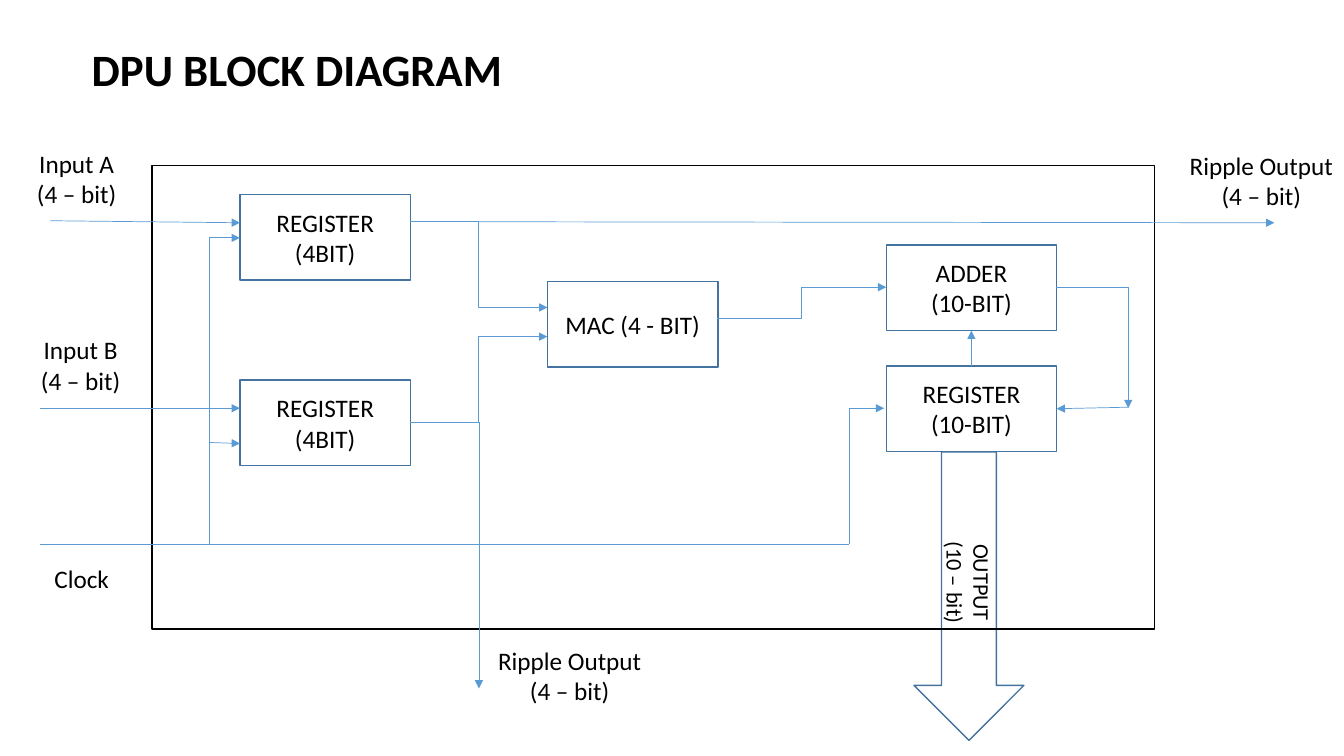
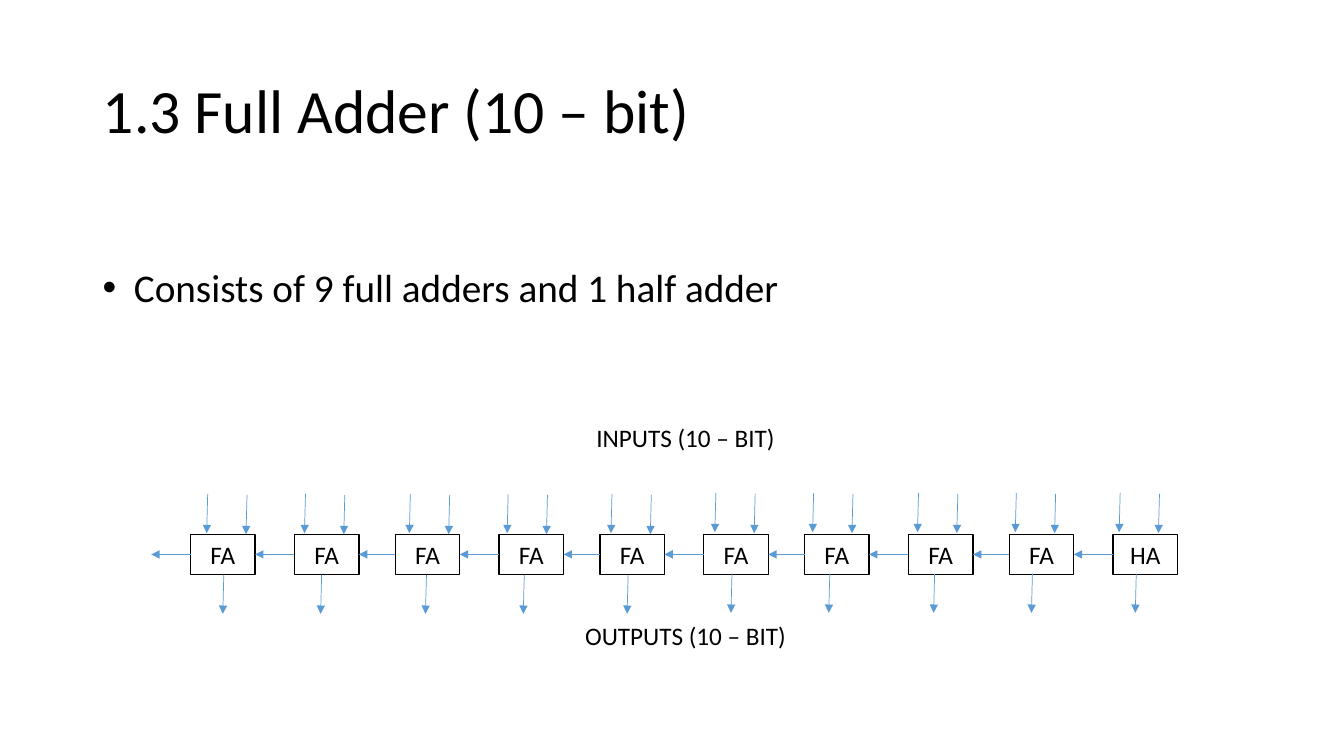
from dataclasses import dataclass
from typing import Any, Optional

import lxml.etree
import pptx
import pptx.dml.color
import pptx.enum.shapes
import pptx.enum.text
import pptx.oxml.ns
import pptx.util

Inches = pptx.util.Inches
SHAPE = pptx.enum.shapes.MSO_SHAPE
CONNECTOR = pptx.enum.shapes.MSO_CONNECTOR
ALIGN = pptx.enum.text.PP_ALIGN
ANCHOR = pptx.enum.text.MSO_ANCHOR
AUTO_SIZE = pptx.enum.text.MSO_AUTO_SIZE

FONT = "Calibri"
BLACK, WHITE = "000000", "FFFFFF"
BLOCK_BLUE, WIRE_BLUE = "43739E", "5B9BD5"
TITLE_ONLY = 5
TOP, LEFT, BOTTOM, RIGHT = range(4)

Point = tuple[float, float]


@dataclass(frozen=True)
class Block:
    text: str
    left: float
    top: float
    width: float = 1.69
    height: float = 0.85
    line: str = BLOCK_BLUE
    fill: Optional[str] = None
    size: float = 18
    preset: Any = SHAPE.RECTANGLE
    rotation: float = 0


@dataclass(frozen=True)
class Label:
    text: str
    left: float
    top: float
    width: float = 1.68
    height: float = 0.71


@dataclass(frozen=True)
class Wire:
    """A line; preset bentConnector2 has one corner, bentConnector3 has two."""
    start: Point
    end: Point
    arrow: Optional[str] = "tailEnd"
    preset: str = "line"


REGISTER_A = Block("REGISTER (4BIT)", 2.38, 1.93)
REGISTER_B = Block("REGISTER (4BIT)", 2.38, 3.77)
REGISTER_SUM = Block("REGISTER\n(10-BIT)", 8.79, 3.63)
MAC = Block("MAC (4 - BIT)", 5.43, 2.79)
ADDER = Block("ADDER\n(10-BIT)", 8.79, 2.43)
OUTPUT = Block("OUTPUT\n(10 – bit)", 8.18, 5.37, 2.86, 1.09, size=16,
               preset=SHAPE.RIGHT_ARROW, rotation=90)
DPU_FRAME = Block("", 1.51, 1.64, 9.94, 4.6, line=BLACK)

DPU_WIRES = [
    Wire((4.07, 2.2), (5.43, 3.05), preset="bentConnector3"),
    Wire((4.07, 4.19), (5.43, 3.34), preset="bentConnector3"),
    Wire((7.11, 3.16), (8.79, 2.85), preset="bentConnector3"),
    Wire((10.47, 2.85), (11.19, 4.05), preset="bentConnector2"),
    Wire((0.5, 2.19), (2.38, 2.21)),
    Wire((0.4, 4.05), (2.38, 4.05)),
    Wire((4.75, 2.2), (12.64, 2.21)),
    Wire((4.75, 4.19), (4.75, 6.83)),
    Wire((2.38, 2.36), (2.08, 5.4), "headEnd", "bentConnector2"),
    Wire((8.77, 4.05), (8.42, 5.4), "headEnd", "bentConnector2"),
    Wire((0.4, 5.4), (8.42, 5.4), None),
    Wire((2.08, 4.39), (2.38, 4.4)),
]

DPU_LABELS = [
    Label("Ripple Output\n(4 – bit)", 11.67, 1.44),
    Label("Ripple Output\n(4 – bit)", 4.81, 6.35),
    Label("Input A\n(4 – bit)", -0.08, 1.42),
    Label("Input B\n(4 – bit)", -0.04, 3.27),
    Label("Clock", -0.03, 5.54, height=0.4),
]

ADDER_COUNT = 10
ADDER_LEFT, ADDER_TOP = 1.89, 5.3
ADDER_WIDTH, ADDER_HEIGHT = 0.64, 0.4
ADDER_STEP, ADDER_PAIR_STEP = 1.03, 2.03
BIT_OFFSETS = (0, 0.97, 2.01, 2.98, 4.01)
BIT_GROUPS = ((2.06, 4.9), (7.1, 4.89))


def rgb(color: str) -> pptx.dml.color.RGBColor:
    return pptx.dml.color.RGBColor.from_string(color)


def add_element(parent: Any, tag: str, **attributes: str) -> None:
    lxml.etree.SubElement(parent, pptx.oxml.ns.qn(tag), attributes)


def write_text(frame: Any, text: str, size: float, align: Any = ALIGN.CENTER,
               bold: bool = False) -> None:
    frame.text = text
    font_format = {"name": FONT, "size": pptx.util.Pt(size), "bold": bold}
    for paragraph in frame.paragraphs:
        paragraph.alignment = align
        for run in paragraph.runs:
            for attribute, value in font_format.items():
                setattr(run.font, attribute, value)
            run.font.color.rgb = rgb(BLACK)


def add_titled_slide(deck: Any, title: str, left: float, top: float,
                     size: float, bold: bool = False) -> Any:
    slide = deck.slides.add_slide(deck.slide_layouts[TITLE_ONLY])
    heading = slide.shapes.title
    place = {"left": left, "top": top, "width": 11.5, "height": 1.45}
    for attribute, length in place.items():
        setattr(heading, attribute, Inches(length))
    write_text(heading.text_frame, title, size, ALIGN.LEFT, bold)
    heading.text_frame.vertical_anchor = ANCHOR.MIDDLE
    heading.text_frame.paragraphs[0].line_spacing = 0.9
    return slide


def add_block(slide: Any, block: Block) -> Any:
    shape = slide.shapes.add_shape(
        block.preset, Inches(block.left), Inches(block.top),
        Inches(block.width), Inches(block.height))
    shape.rotation = block.rotation
    shape.shadow.inherit = False
    if block.fill:
        shape.fill.solid()
        shape.fill.fore_color.rgb = rgb(block.fill)
    else:
        shape.fill.background()
    shape.line.color.rgb = rgb(block.line)
    shape.line.width = pptx.util.Pt(1)
    if block.text:
        write_text(shape.text_frame, block.text, block.size)
        shape.text_frame.vertical_anchor = ANCHOR.MIDDLE
    return shape


def add_label(slide: Any, label: Label, size: float = 18,
              align: Any = ALIGN.CENTER, wrap: bool = True) -> Any:
    box = slide.shapes.add_textbox(
        Inches(label.left), Inches(label.top),
        Inches(label.width), Inches(label.height))
    write_text(box.text_frame, label.text, size, align)
    box.text_frame.word_wrap = wrap
    box.text_frame.auto_size = AUTO_SIZE.SHAPE_TO_FIT_TEXT
    return box


def add_wire(slide: Any, wire: Wire) -> Any:
    kind = CONNECTOR.STRAIGHT if wire.preset == "line" else CONNECTOR.ELBOW
    connector = slide.shapes.add_connector(
        kind, *(Inches(length) for length in (*wire.start, *wire.end)))
    connector.line.color.rgb = rgb(WIRE_BLUE)
    connector.line.width = pptx.util.Pt(0.5)
    qn = pptx.oxml.ns.qn
    properties = connector._element.spPr
    properties.find(qn("a:prstGeom")).set("prst", wire.preset)
    if wire.arrow:
        add_element(properties.find(qn("a:ln")), f"a:{wire.arrow}",
                    type="triangle")
    add_element(properties, "a:effectLst")
    return connector


def add_bullet(paragraph: Any, indent: float) -> None:
    properties = paragraph._p.get_or_add_pPr()
    properties.set("marL", str(Inches(indent)))
    properties.set("indent", str(-Inches(indent)))
    add_element(properties, "a:buFont", typeface="Arial")
    add_element(properties, "a:buChar", char="•")


def build_block_diagram(deck: Any) -> None:
    slide = add_titled_slide(deck, "DPU BLOCK DIAGRAM", 0.81, -0.01, 32, True)
    for block in (REGISTER_A, REGISTER_B, MAC, OUTPUT, DPU_FRAME):
        add_block(slide, block)
    register_sum = add_block(slide, REGISTER_SUM)
    adder = add_block(slide, ADDER)
    for wire in DPU_WIRES:
        add_wire(slide, wire)
    feedback = add_wire(slide, Wire((11.19, 4.04), (10.48, 4.05)))
    feedback.end_connect(register_sum, RIGHT)
    accumulated = add_wire(slide, Wire((9.63, 3.63), (9.63, 3.28)))
    accumulated.begin_connect(register_sum, TOP)
    accumulated.end_connect(adder, BOTTOM)
    for label in DPU_LABELS:
        add_label(slide, label)


def build_full_adder(deck: Any) -> None:
    slide = add_titled_slide(deck, "1.3 Full Adder (10 – bit)", 0.92, 0.4, 44)

    adders = []
    for index in range(ADDER_COUNT):
        pair, second = divmod(index, 2)
        left = ADDER_LEFT + pair * ADDER_PAIR_STEP + second * ADDER_STEP
        name = "HA" if index == ADDER_COUNT - 1 else "FA"
        adders.append(add_block(slide, Block(
            name, left, ADDER_TOP, ADDER_WIDTH, ADDER_HEIGHT, BLACK, WHITE)))

    middle = ADDER_TOP + ADDER_HEIGHT / 2
    carry_out = Wire((ADDER_LEFT, middle), (1.5, middle))
    for index, adder in enumerate(adders):
        carry = add_wire(slide, carry_out)
        carry.begin_connect(adder, LEFT)
        if index:
            carry.end_connect(adders[index - 1], RIGHT)

    for group_left, top in BIT_GROUPS:
        for offset in BIT_OFFSETS:
            for dx, dy in ((0, 0), (0.39, 0.01), (0.16, 0.8)):
                x, y = group_left + offset + dx, top + dy
                add_wire(slide, Wire((x, y), (x - 0.01, y + 0.39)))

    add_label(slide, Label("INPUTS (10 – BIT)", 1.5, 4.14, 10.6, 0.4))
    add_label(slide, Label("OUTPUTS (10 – BIT)", 1.5, 6.11, 10.6, 0.4))
    summary = add_label(
        slide, Label("Consists of 9 full adders and 1 half adder",
                     0.92, 2.56, 6.98, 0.57), 28, ALIGN.LEFT, wrap=False)
    add_bullet(summary.text_frame.paragraphs[0], 0.31)


def main() -> None:
    deck = pptx.Presentation()
    deck.slide_width, deck.slide_height = Inches(13.33), Inches(7.5)
    build_block_diagram(deck)
    build_full_adder(deck)
    deck.save("out.pptx")


if __name__ == "__main__":
    main()
